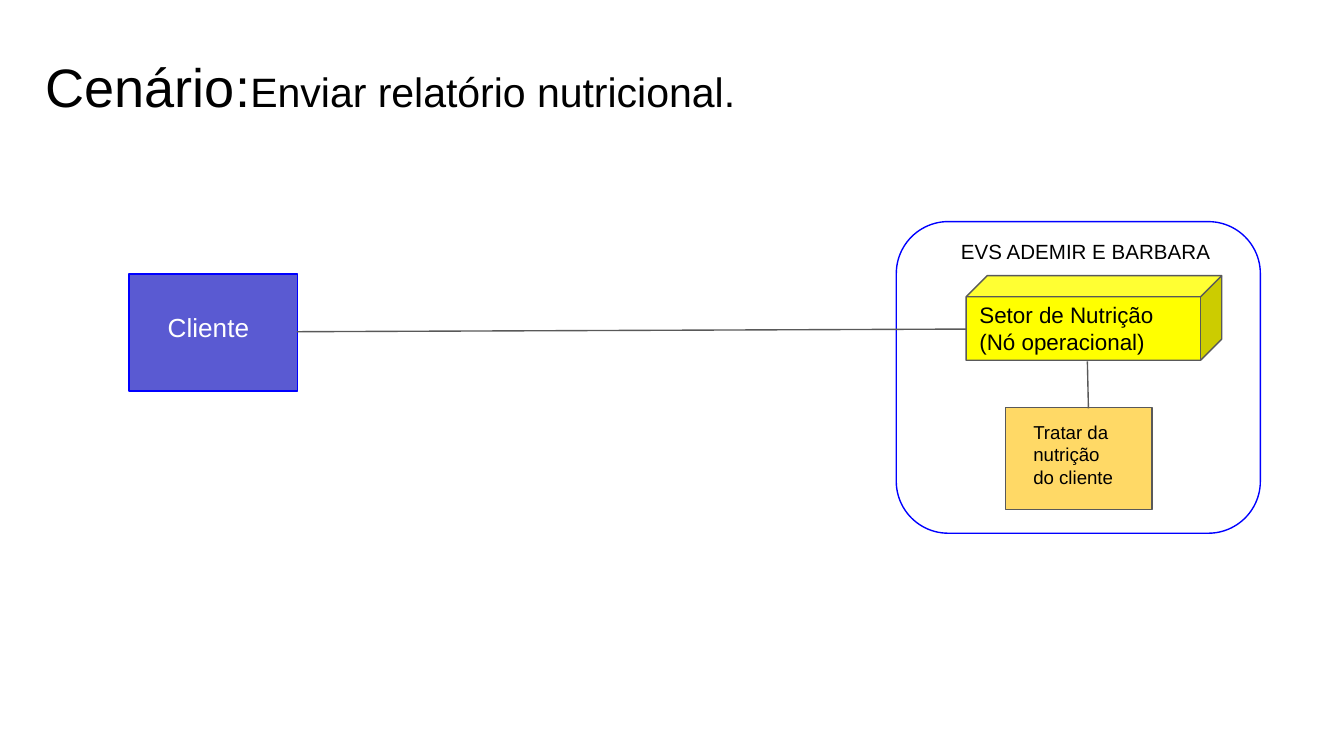
"""Build the slide for the scenario of sending a nutrition report."""
from dataclasses import dataclass
from typing import Optional

from lxml.etree import SubElement
from pptx import Presentation
from pptx.dml.color import RGBColor
from pptx.enum.shapes import MSO_CONNECTOR, MSO_SHAPE
from pptx.enum.text import MSO_ANCHOR, MSO_AUTO_SIZE, PP_ALIGN
from pptx.oxml.ns import qn
from pptx.slide import Slide
from pptx.text.text import Font, TextFrame
from pptx.util import Cm, Pt


@dataclass(frozen=True)
class Theme:
    font: str = "Arial"
    ink: str = "000000"
    white: str = "FFFFFF"
    blue: str = "0000FF"
    violet: str = "5A5AD2"
    yellow: str = "FFFF00"
    amber: str = "FFD966"
    grey: str = "595959"
    title_size: float = 29
    subtitle_size: float = 22
    client_size: float = 14
    node_size: float = 12
    group_size: float = 11
    task_size: float = 10
    line_width: float = 0.75
    inset: float = 0.25


THEME = Theme()


@dataclass(frozen=True)
class Box:
    left: float
    top: float
    width: float
    height: float

    def lengths(self) -> tuple[Cm, Cm, Cm, Cm]:
        return Cm(self.left), Cm(self.top), Cm(self.width), Cm(self.height)


@dataclass(frozen=True)
class Block:
    box: Box
    preset: MSO_SHAPE
    outline: str
    fill: Optional[str] = None
    text: str = ""


@dataclass(frozen=True)
class Label:
    box: Box
    text: str
    size: float
    color: str = THEME.ink


@dataclass(frozen=True)
class Link:
    start: tuple[float, float]
    end: tuple[float, float]


BLOCKS = [
    Block(Box(16.94, 4.19, 6.88, 5.89), MSO_SHAPE.ROUNDED_RECTANGLE, THEME.blue),
    Block(Box(2.44, 5.18, 3.18, 2.21), MSO_SHAPE.RECTANGLE, THEME.blue, THEME.violet),
    Block(Box(18.26, 5.21, 4.83, 1.6), MSO_SHAPE.CUBE, THEME.grey, THEME.yellow,
          "Setor de Nutrição\v(Nó operacional)"),
    Block(Box(19, 7.7, 2.77, 1.93), MSO_SHAPE.RECTANGLE, THEME.grey, THEME.amber),
]
LABELS = [
    Label(Box(2.92, 5.64, 2.18, 0.56), "Cliente", THEME.client_size, THEME.white),
    Label(Box(19.28, 7.7, 2.18, 1.93), "Tratar da nutrição do cliente", THEME.task_size),
    Label(Box(17.91, 4.27, 5.46, 1.12), "EVS ADEMIR E BARBARA", THEME.group_size),
]
LINKS = [
    Link((5.61, 6.27), (18.26, 6.22)),
    Link((20.55, 6.83), (20.57, 7.72)),
]


def style_font(font: Font, size: float, color: str) -> None:
    font.name = THEME.font
    font.size = Pt(size)
    font.color.rgb = RGBColor.from_string(color)


def prepare_frame(frame: TextFrame, anchor: MSO_ANCHOR = MSO_ANCHOR.TOP) -> None:
    frame.word_wrap = True
    frame.auto_size = MSO_AUTO_SIZE.NONE
    frame.vertical_anchor = anchor
    frame.margin_left = frame.margin_right = Cm(THEME.inset)
    frame.margin_top = frame.margin_bottom = Cm(THEME.inset)
    frame.paragraphs[0].alignment = PP_ALIGN.LEFT


def set_title(slide: Slide) -> None:
    title = slide.shapes.title
    title.left, title.top, title.width, title.height = Box(0.61, 0.76, 15.01, 1.6).lengths()
    prepare_frame(title.text_frame)
    for text, size in (("Cenário:", THEME.title_size),
                       ("Enviar relatório nutricional.", THEME.subtitle_size)):
        run = title.text_frame.paragraphs[0].add_run()
        run.text = text
        style_font(run.font, size, THEME.ink)


def draw_block(slide: Slide, block: Block) -> None:
    shape = slide.shapes.add_shape(block.preset, *block.box.lengths())
    shape.shadow.inherit = False
    shape.line.color.rgb = RGBColor.from_string(block.outline)
    shape.line.width = Pt(THEME.line_width)
    if block.fill:
        shape.fill.solid()
        shape.fill.fore_color.rgb = RGBColor.from_string(block.fill)
    else:
        shape.fill.background()
    if block.text:
        shape.text_frame.text = block.text
        prepare_frame(shape.text_frame, MSO_ANCHOR.MIDDLE)
        style_font(shape.text_frame.paragraphs[0].font, THEME.node_size, THEME.ink)


def draw_label(slide: Slide, label: Label) -> None:
    frame = slide.shapes.add_textbox(*label.box.lengths()).text_frame
    frame.text = label.text
    prepare_frame(frame)
    style_font(frame.paragraphs[0].font, label.size, label.color)


def draw_link(slide: Slide, link: Link) -> None:
    connector = slide.shapes.add_connector(
        MSO_CONNECTOR.STRAIGHT, *(Cm(value) for value in link.start + link.end))
    connector.line.color.rgb = RGBColor.from_string(THEME.grey)
    connector.line.width = Pt(THEME.line_width)
    SubElement(connector._element.spPr, qn("a:effectLst"))


def main() -> None:
    presentation = Presentation()
    presentation.slide_width, presentation.slide_height = Cm(25.4), Cm(14.29)
    slide = presentation.slides.add_slide(presentation.slide_layouts[5])
    set_title(slide)
    for block in BLOCKS:
        draw_block(slide, block)
    for link in LINKS:
        draw_link(slide, link)
    for label in LABELS:
        draw_label(slide, label)
    presentation.save("out.pptx")


main()
